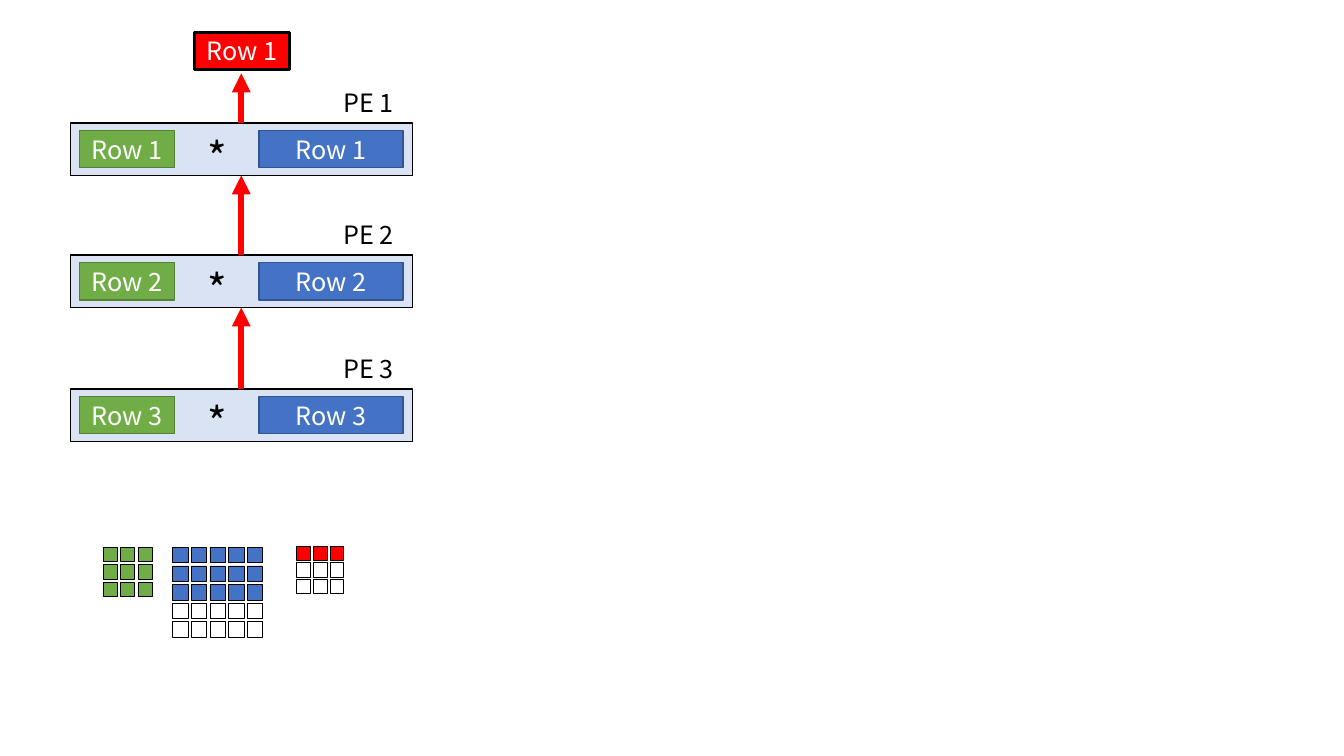
from lxml import etree
from pptx import Presentation
from pptx import util as u
from pptx.dml.color import RGBColor
from pptx.enum import shapes, text
from pptx.oxml.ns import qn

COLORS = {
    "black": "000000",
    "white": "FFFFFF",
    "unit": "DAE3F3",
    "filter": "70AD47",
    "filter_edge": "538035",
    "input": "4472C4",
    "input_edge": "325491",
    "output": "FF0000",
}
UNIT_TOPS = (3.1, 6.43, 9.8)
UNIT_HEIGHT = 1.32
ROW_HEIGHT = 0.94


class Diagram:
    """Holds the style and the slide being drawn."""

    font_name = "Noto Sans CJK KR"

    def __init__(self, slide):
        self.slide = slide

    def color(self, name):
        return RGBColor.from_string(COLORS[name])

    def add_words(self, shape, words, color, size, frame_format, alignment=None):
        frame = shape.text_frame
        for name, value in frame_format.items():
            setattr(frame, name, value)
        paragraph = frame.paragraphs[0]
        paragraph.alignment = alignment
        run = paragraph.add_run()
        run.text = words
        for name, value in {"name": self.font_name, "size": u.Pt(size)}.items():
            setattr(run.font, name, value)
        run.font.color.rgb = self.color(color)

    def box(self, left, top, width, height, fill, edge="black", weight=1,
            words=None, parent=None):
        shape = (parent or self.slide).shapes.add_shape(
            shapes.MSO_SHAPE.RECTANGLE, *map(u.Cm, (left, top, width, height)))
        shape.shadow.inherit = False
        if fill:
            shape.fill.solid()
            shape.fill.fore_color.rgb = self.color(fill)
        else:
            shape.fill.background()
        shape.line.color.rgb = self.color(edge)
        shape.line.width = u.Pt(weight)
        if words:
            self.add_words(shape, words, "white", 18,
                           {"vertical_anchor": text.MSO_ANCHOR.MIDDLE},
                           text.PP_ALIGN.CENTER)

    def label(self, left, top, width, height, words, size):
        shape = self.slide.shapes.add_textbox(
            *map(u.Cm, (left, top, width, height)))
        self.add_words(shape, words, "black", size,
                       {"word_wrap": False,
                        "auto_size": text.MSO_AUTO_SIZE.SHAPE_TO_FIT_TEXT})

    def arrow_up(self, x, start, end):
        connector = self.slide.shapes.add_connector(
            shapes.MSO_CONNECTOR.STRAIGHT, *map(u.Cm, (x, start, x, end)))
        connector.line.color.rgb = self.color("output")
        connector.line.width = u.Pt(4.5)
        properties = connector._element.spPr
        etree.SubElement(properties.find(qn("a:ln")), qn("a:tailEnd"), type="triangle")
        etree.SubElement(properties, qn("a:effectLst"))

    def matrix(self, left, top, count, pitch, size, fill, filled_rows):
        group = self.slide.shapes.add_group_shape()
        for row in range(count):
            for column in range(count):
                self.box(left + column * pitch, top + row * pitch, *size,
                         fill if row < filled_rows else None,
                         weight=0.5, parent=group)

    def processing_element(self, number, top):
        row = f"Row {number}"
        self.box(1.78, top, 8.61, UNIT_HEIGHT, "unit")
        self.box(6.53, top + 0.19, 3.63, ROW_HEIGHT, "input", "input_edge", words=row)
        self.box(2.01, top + 0.19, 2.39, ROW_HEIGHT, "filter", "filter_edge", words=row)
        self.label(8.41, top - 1.02, 1.78, 1.02, f"PE {number}", 18)
        self.label(4.98, top + 0.08, 0.97, 1.55, "*", 30)


def main():
    presentation = Presentation()
    presentation.slide_width = u.Cm(33.87)
    presentation.slide_height = u.Cm(19.05)
    diagram = Diagram(presentation.slides.add_slide(presentation.slide_layouts[6]))

    # Processing elements, each passing its sum upwards
    for number, top in enumerate(UNIT_TOPS, 1):
        diagram.processing_element(number, top)
    targets = (1.85, *(top + UNIT_HEIGHT for top in UNIT_TOPS[:-1]))
    for start, end in zip(UNIT_TOPS, targets):
        diagram.arrow_up(6.08, start, end)

    # Resulting output row
    diagram.box(4.91, 0.81, 2.39, ROW_HEIGHT, "output", weight=2.25, words="Row 1")

    # Filter, input and output matrices
    diagram.matrix(2.6, 13.79, 3, 0.44, (0.36, 0.36), "filter", 3)
    diagram.matrix(4.35, 13.79, 5, 0.47, (0.39, 0.39), "input", 3)
    diagram.matrix(7.48, 13.76, 3, 0.42, (0.34, 0.36), "output", 1)

    presentation.save("out.pptx")


if __name__ == "__main__":
    main()
